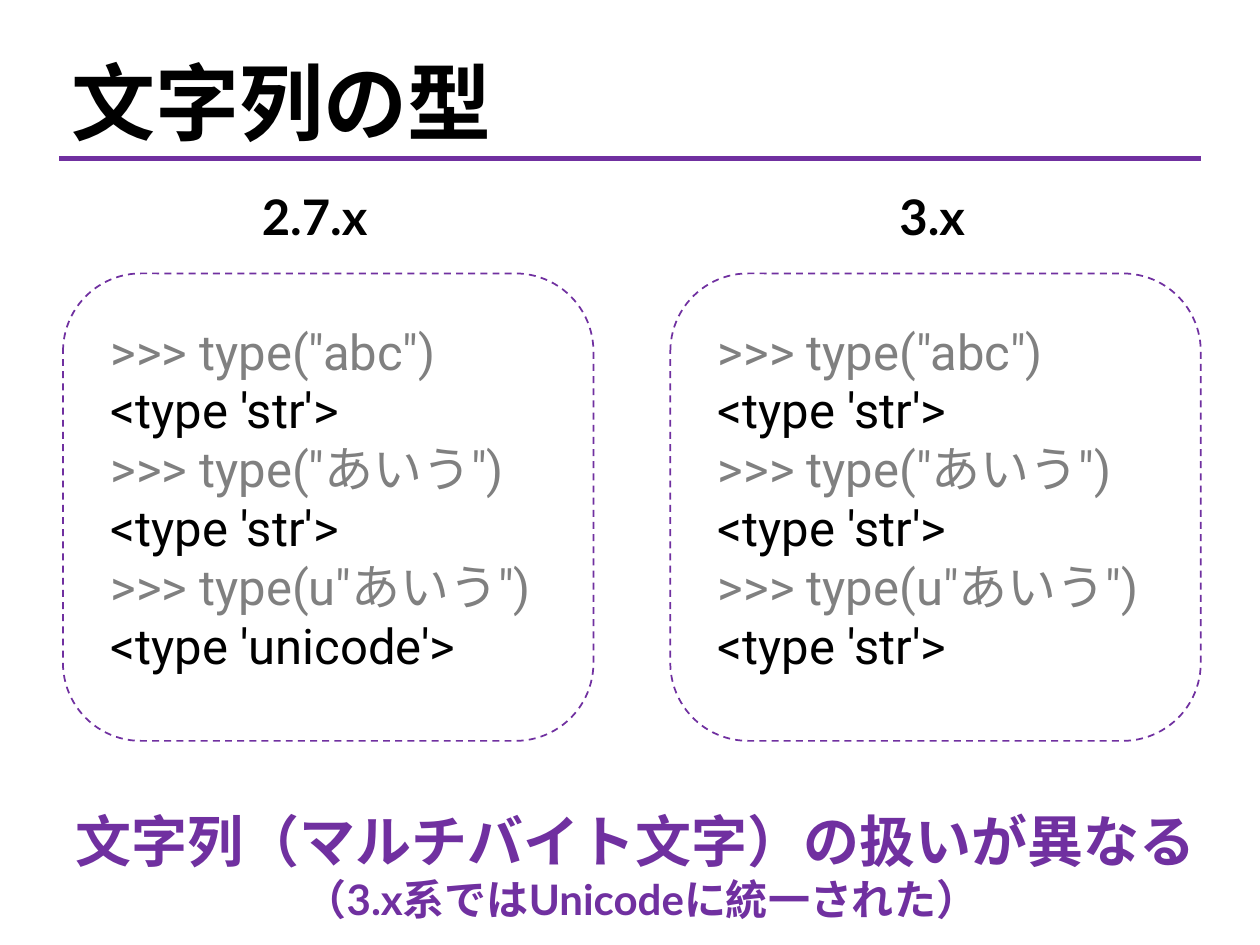
from dataclasses import dataclass

from lxml import etree
from pptx import Presentation
from pptx.dml.color import RGBColor
from pptx.enum.dml import MSO_LINE
from pptx.enum.shapes import MSO_CONNECTOR, MSO_SHAPE
from pptx.enum.text import MSO_ANCHOR, MSO_AUTO_SIZE, PP_ALIGN
from pptx.oxml.ns import qn
from pptx.util import Inches, Pt

STRAIGHT = MSO_CONNECTOR.STRAIGHT
ROUNDED = MSO_SHAPE.ROUNDED_RECTANGLE
DASH = MSO_LINE.DASH
TOP = MSO_ANCHOR.TOP
NO_FIT = MSO_AUTO_SIZE.NONE
LEFT, CENTER = PP_ALIGN.LEFT, PP_ALIGN.CENTER
TITLE_ONLY = 5


@dataclass(frozen=True)
class Theme:
    """Colours, fonts and type sizes of the slide."""
    accent: RGBColor = RGBColor(0x70, 0x30, 0xA0)
    ink: RGBColor = RGBColor(0, 0, 0)
    muted: RGBColor = RGBColor(0x80, 0x80, 0x80)
    heading_font: str = "Lato"
    code_font: str = "Roboto"
    japanese_font: str = "Noto Sans CJK JP"
    title_size: int = 48
    text_size: int = 28
    message_size: int = 32
    note_size: int = 24


@dataclass(frozen=True)
class Line:
    """One paragraph with its look."""
    text: str
    size: int
    color: RGBColor
    font: str
    bold: bool = True
    align: PP_ALIGN = LEFT


@dataclass(frozen=True)
class Version:
    """A Python version, its heading place and the type of each input."""
    name: str
    heading_left: float
    heading_width: float
    results: tuple[str, ...]


THEME = Theme()
SLIDE_WIDTH, SLIDE_HEIGHT = 10, 7.5
MARGIN = 0.47
PANEL_LEFT, PANEL_TOP, PANEL_WIDTH, PANEL_HEIGHT = 0.5, 2.17, 4.21, 3.71
COLUMN_STEP = 4.82
CODE_INSET, CODE_TOP, CODE_HEIGHT = 0.28, 2.5, 2.93
INPUTS = ('"abc"', '"あいう"', 'u"あいう"')
VERSIONS = (
    Version("2.7.x", 1.98, 1.13, ("str", "str", "unicode")),
    Version("3.x", 7.04, 0.78, ("str", "str", "str")),
)


def write_lines(shape, lines: list[Line]) -> None:
    """Fill a shape with unwrapped, top-anchored paragraphs."""
    frame = shape.text_frame
    frame.word_wrap = False
    frame.auto_size = NO_FIT
    frame.vertical_anchor = TOP
    for index, line in enumerate(lines):
        para = frame.add_paragraph() if index else frame.paragraphs[0]
        para.text = line.text
        para.alignment = line.align
        font = para.font
        font.name = line.font
        font.size = Pt(line.size)
        font.bold = line.bold
        font.color.rgb = line.color
        properties = para._p.pPr.find(qn("a:defRPr"))
        east_asian = etree.Element(qn("a:ea"), typeface=THEME.japanese_font)
        properties.find(qn("a:latin")).addnext(east_asian)


def add_text(slide, left: float, top: float, width: float, height: float,
             lines: list[Line]) -> None:
    """Add a text box with the given lines."""
    box = slide.shapes.add_textbox(Inches(left), Inches(top),
                                   Inches(width), Inches(height))
    write_lines(box, lines)


def add_title(slide, text: str) -> None:
    """Place the title and the rule below it."""
    title = slide.shapes.title
    title.left, title.top = Inches(MARGIN), Inches(0.35)
    title.width, title.height = Inches(3.57), Inches(0.91)
    write_lines(title, [Line(text, THEME.title_size, THEME.ink,
                             THEME.japanese_font)])
    rule = slide.shapes.add_connector(
        STRAIGHT, Inches(MARGIN), Inches(1.26),
        Inches(SLIDE_WIDTH - MARGIN), Inches(1.26))
    rule.line.color.rgb = THEME.accent
    rule.line.width = Pt(3)
    etree.SubElement(rule._element.spPr, qn("a:effectLst"))


def add_version(slide, column: int, version: Version) -> None:
    """Draw one column: heading, dashed panel and console session."""
    add_text(slide, version.heading_left, 1.43, version.heading_width, 0.57,
             [Line(version.name, THEME.text_size, THEME.ink,
                   THEME.heading_font)])
    left = PANEL_LEFT + column * COLUMN_STEP
    panel = slide.shapes.add_shape(ROUNDED, Inches(left), Inches(PANEL_TOP),
                                   Inches(PANEL_WIDTH), Inches(PANEL_HEIGHT))
    panel.shadow.inherit = False
    panel.fill.background()
    panel.line.color.rgb = THEME.accent
    panel.line.width = Pt(1)
    panel.line.dash_style = DASH
    session = []
    for value, result in zip(INPUTS, version.results):
        for text, color in ((f">>> type({value})", THEME.muted),
                            (f"<type '{result}'>", THEME.ink)):
            session.append(Line(text, THEME.text_size, color,
                                THEME.code_font, bold=False))
    add_text(slide, left + CODE_INSET, CODE_TOP, PANEL_WIDTH - CODE_INSET,
             CODE_HEIGHT, session)


def build() -> None:
    """Build and save the one-slide deck."""
    deck = Presentation()
    deck.slide_width, deck.slide_height = Inches(SLIDE_WIDTH), Inches(SLIDE_HEIGHT)
    slide = deck.slides.add_slide(deck.slide_layouts[TITLE_ONLY])
    add_title(slide, "文字列の型")
    for column, version in enumerate(VERSIONS):
        add_version(slide, column, version)
    add_text(slide, PANEL_LEFT, 6.35, 9.18, 1.04, [
        Line("文字列（マルチバイト文字）の扱いが異なる", THEME.message_size,
             THEME.accent, THEME.heading_font),
        Line("（3.x系ではUnicodeに統一された）", THEME.note_size,
             THEME.accent, THEME.heading_font, align=CENTER),
    ])
    deck.save("out.pptx")


build()
